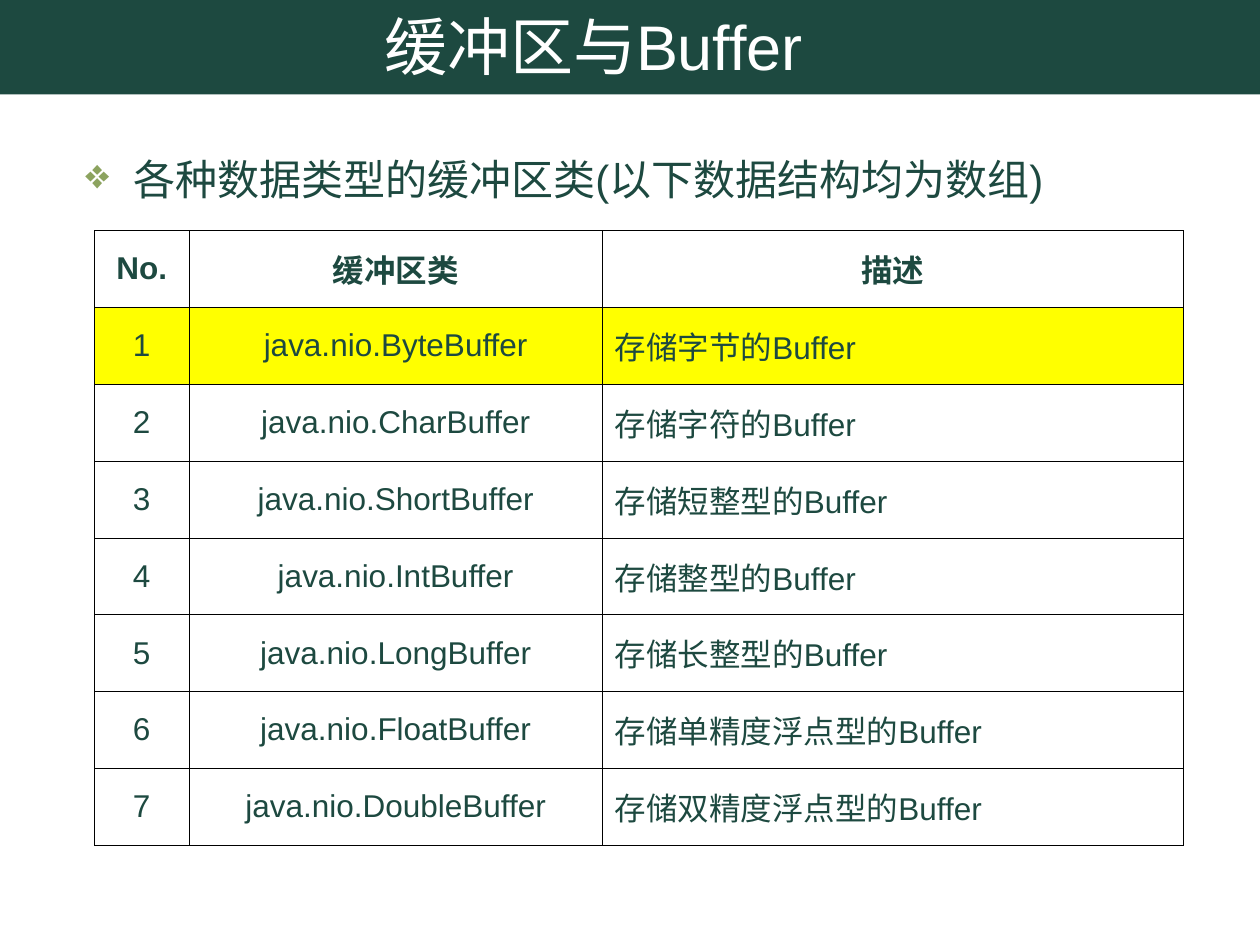
import dataclasses

import lxml.etree
import pptx
import pptx.dml.color
import pptx.enum.shapes
import pptx.enum.text
import pptx.oxml.ns
import pptx.util

Inches = pptx.util.Inches
Pt = pptx.util.Pt
ALIGN = pptx.enum.text.PP_ALIGN
MIDDLE = pptx.enum.text.MSO_ANCHOR.MIDDLE

COLORS = {
    "green": "1D4940",
    "bullet": "8CA35F",
    "white": "FFFFFF",
    "highlight": "FFFF00",
    "border": "000000",
}
FONT = "Arial"
COLUMN_WIDTHS = (0.75, 3.28, 4.61)
ROW_HEIGHT = 0.61
HEADINGS = ("No.", "缓冲区类", "描述")


@dataclasses.dataclass(frozen=True)
class BufferClass:
    prefix: str
    content: str
    highlighted: bool = False


BUFFER_CLASSES = (
    BufferClass("Byte", "字节", highlighted=True),
    BufferClass("Char", "字符"),
    BufferClass("Short", "短整型"),
    BufferClass("Int", "整型"),
    BufferClass("Long", "长整型"),
    BufferClass("Float", "单精度浮点型"),
    BufferClass("Double", "双精度浮点型"),
)


def rgb(color: str) -> pptx.dml.color.RGBColor:
    return pptx.dml.color.RGBColor.from_string(COLORS[color])


def add_xml(parent, tag: str, **attributes: str):
    return lxml.etree.SubElement(parent, pptx.oxml.ns.qn(tag), attributes)


def write_text(frame, text: str, *, size: float, color: str = "green",
               bold: bool = False, align=ALIGN.LEFT, before: float = 0,
               hanging: float = 0, bullet: str = "") -> None:
    """Fill the frame with one paragraph; hanging is the indent in inches."""
    frame.word_wrap = True
    paragraph = frame.paragraphs[0]
    paragraph.alignment = align
    paragraph.space_before = Pt(before)
    run = paragraph.add_run()
    run.text = text
    run.font.name = FONT
    run.font.size = Pt(size)
    run.font.bold = bold
    run.font.color.rgb = rgb(color)
    properties = paragraph._p.get_or_add_pPr()
    if hanging:
        properties.set("marL", str(Inches(hanging)))
        properties.set("indent", str(-Inches(hanging)))
    if bullet:
        bullet_color = add_xml(properties, "a:buClr")
        add_xml(bullet_color, "a:srgbClr", val=COLORS["bullet"])
        add_xml(properties, "a:buChar", char=bullet)


def add_text_box(slide, left: float, top: float, width: float, height: float):
    box = slide.shapes.add_textbox(
        Inches(left), Inches(top), Inches(width), Inches(height))
    return box.text_frame


def add_title_bar(slide) -> None:
    bar = slide.shapes.add_shape(
        pptx.enum.shapes.MSO_SHAPE.RECTANGLE,
        Inches(-0.01), 0, Inches(10.01), Inches(0.75))
    bar.shadow.inherit = False
    bar.fill.solid()
    bar.fill.fore_color.rgb = rgb("green")
    bar.line.fill.background()


def set_borders(cell) -> None:
    """Outline all four sides; the lines must precede the fill in the XML."""
    properties = cell._tc.get_or_add_tcPr()
    for side in ("a:lnL", "a:lnR", "a:lnT", "a:lnB"):
        line = add_xml(properties, side, w=str(Pt(0.45)))
        fill = add_xml(line, "a:solidFill")
        add_xml(fill, "a:srgbClr", val=COLORS["border"])


def fill_row(table, row: int, texts: tuple[str, ...], *,
             heading: bool = False, highlighted: bool = False) -> None:
    table.rows[row].height = Inches(ROW_HEIGHT)
    for column, text in enumerate(texts):
        cell = table.cell(row, column)
        cell.vertical_anchor = MIDDLE
        set_borders(cell)
        if highlighted:
            cell.fill.solid()
            cell.fill.fore_color.rgb = rgb("highlight")
        else:
            cell.fill.background()
        is_description = column == len(texts) - 1 and not heading
        write_text(cell.text_frame, text, size=18, bold=heading,
                   align=ALIGN.LEFT if is_description else ALIGN.CENTER,
                   before=4.5, hanging=0.44)


def add_buffer_table(slide) -> None:
    row_count = len(BUFFER_CLASSES) + 1
    table = slide.shapes.add_table(
        row_count, len(COLUMN_WIDTHS), Inches(0.75), Inches(1.83),
        Inches(sum(COLUMN_WIDTHS)), Inches(row_count * ROW_HEIGHT)).table
    table.first_row = False
    table.horz_banding = False
    for column, width in zip(table.columns, COLUMN_WIDTHS):
        column.width = Inches(width)
    fill_row(table, 0, HEADINGS, heading=True)
    for number, buffer in enumerate(BUFFER_CLASSES, start=1):
        texts = (str(number), f"java.nio.{buffer.prefix}Buffer",
                 f"存储{buffer.content}的Buffer")
        fill_row(table, number, texts, highlighted=buffer.highlighted)


def main() -> None:
    presentation = pptx.Presentation()
    presentation.slide_width = Inches(10)
    presentation.slide_height = Inches(7.5)
    slide = presentation.slides.add_slide(presentation.slide_layouts[6])

    add_title_bar(slide)
    title = add_text_box(slide, 0.67, 0.05, 8.08, 0.62)
    title.vertical_anchor = MIDDLE
    write_text(title, "缓冲区与Buffer", size=36, color="white",
               align=ALIGN.CENTER)
    write_text(add_text_box(slide, 0.58, 1.17, 9, 0.5),
               "各种数据类型的缓冲区类(以下数据结构均为数组)",
               size=24, before=6, hanging=0.38, bullet="❖")
    add_buffer_table(slide)
    presentation.save("out.pptx")


if __name__ == "__main__":
    main()
